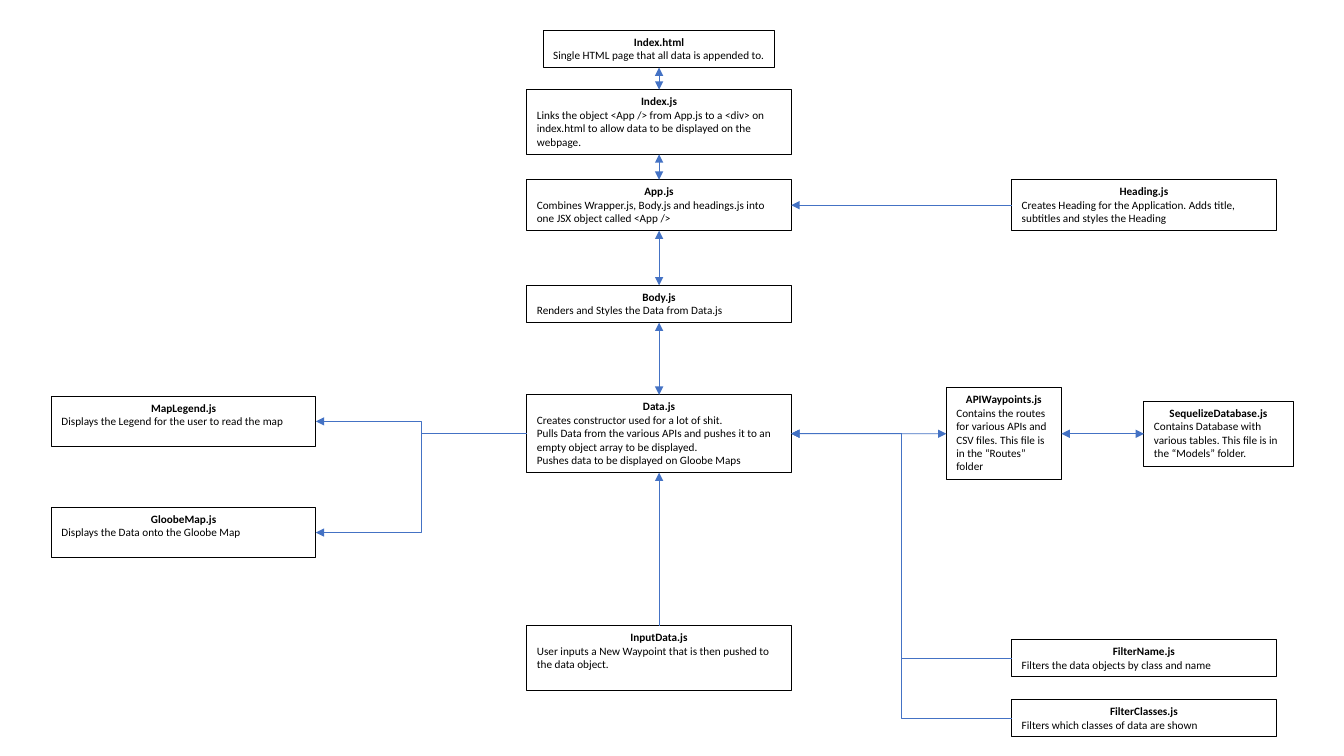
from dataclasses import dataclass

from lxml import etree
from pptx import Presentation
from pptx.dml.color import RGBColor
from pptx.enum.shapes import MSO_CONNECTOR
from pptx.enum.text import MSO_ANCHOR, MSO_AUTO_SIZE, PP_ALIGN
from pptx.oxml.ns import qn
from pptx.util import Cm, Pt

TOP, LEFT, BOTTOM, RIGHT = range(4)


@dataclass(frozen=True)
class Theme:
    """Colours, type and line widths of the diagram."""
    font: str = "Calibri"
    size: Pt = Pt(8)
    ink: RGBColor = RGBColor(0, 0, 0)
    arrow: RGBColor = RGBColor(0x44, 0x72, 0xC4)
    border: Pt = Pt(0.75)
    stroke: Pt = Pt(0.5)


@dataclass(frozen=True)
class Box:
    """Region of the slide in centimetres."""
    left: float
    top: float
    width: float


THEME = Theme()


def add_file(slide, region, offset, height, name, *notes, width=None):
    """Draw a file card centred in its region, at an offset from the region's top."""
    width = width or region.width
    left = region.left + (region.width - width) / 2
    card = slide.shapes.add_textbox(Cm(left), Cm(region.top + offset), Cm(width), Cm(height))
    card.line.color.rgb = THEME.ink
    card.line.width = THEME.border
    frame = card.text_frame
    frame.word_wrap = True
    frame.auto_size = MSO_AUTO_SIZE.SHAPE_TO_FIT_TEXT
    frame.vertical_anchor = MSO_ANCHOR.TOP
    for index, text in enumerate((name, *notes)):
        paragraph = frame.paragraphs[0] if index == 0 else frame.add_paragraph()
        paragraph.alignment = PP_ALIGN.LEFT if index else PP_ALIGN.CENTER
        run = paragraph.add_run()
        run.text = text
        run.font.name = THEME.font
        run.font.size = THEME.size
        run.font.bold = index == 0
        run.font.color.rgb = THEME.ink
    return card


def link(slide, source, source_side, target, target_side, both=False, elbow=False):
    """Glue an arrow from one card's side to another's."""
    kind = MSO_CONNECTOR.ELBOW if elbow else MSO_CONNECTOR.STRAIGHT
    arrow = slide.shapes.add_connector(kind, 0, 0, 0, 0)
    arrow.begin_connect(source, source_side)
    arrow.end_connect(target, target_side)
    arrow.line.color.rgb = THEME.arrow
    arrow.line.width = THEME.stroke
    line = arrow.line._get_or_add_ln()
    for end in ("a:headEnd", "a:tailEnd") if both else ("a:tailEnd",):
        etree.SubElement(line, qn(end), type="triangle")
    etree.SubElement(arrow._element.spPr, qn("a:effectLst"))


def page_chain(slide, box):
    """Stack the page files from Index.html to Data.js and InputData.js."""
    chain = [
        add_file(slide, box, 0, 0.94, "Index.html",
                 "Single HTML page that all data is appended to.", width=5.84),
        add_file(slide, box, 1.5, 1.63, "Index.js",
                 "Links the object <App /> from App.js to a <div> on index.html "
                 "to allow data to be displayed on the webpage."),
        add_file(slide, box, 3.77, 1.28, "App.js",
                 "Combines Wrapper.js, Body.js and headings.js into one JSX object called <App />"),
        add_file(slide, box, 6.43, 0.94, "Body.js", "Renders and Styles the Data from Data.js"),
        add_file(slide, box, 9.19, 1.96, "Data.js",
                 "Creates constructor used for a lot of shit.",
                 "Pulls Data from the various APIs and pushes it to an empty object array "
                 "to be displayed.",
                 "Pushes data to be displayed on Gloobe Maps"),
    ]
    for upper, lower in zip(chain, chain[1:]):
        link(slide, upper, BOTTOM, lower, TOP, both=True)
    app, data = chain[2], chain[-1]
    user_input = add_file(slide, box, 15.01, 1.63, "InputData.js",
                          "User inputs a New Waypoint that is then pushed to the data object.")
    link(slide, user_input, TOP, data, BOTTOM)
    return app, data


def heading(slide, box, app):
    """Place the heading file that feeds the app."""
    card = add_file(slide, box, 0, 1.28, "Heading.js",
                    "Creates Heading for the Application. Adds title, subtitles "
                    "and styles the Heading")
    link(slide, card, LEFT, app, RIGHT)


def map_views(slide, box, data):
    """Place the map files that show the data."""
    views = (("MapLegend.js", "Displays the Legend for the user to read the map"),
             ("GloobeMap.js", "Displays the Data onto the Gloobe Map"))
    for row, (name, note) in enumerate(views):
        card = add_file(slide, box, row * 2.8, 1.28, name, note)
        link(slide, data, LEFT, card, RIGHT, elbow=True)


def data_sources(slide, box, data):
    """Place the routes and the database beside the data file."""
    routes_box = Box(box.left, box.top, 2.9)
    tables_box = Box(box.left + box.width - 3.76, box.top, 3.76)
    routes = add_file(slide, routes_box, 0, 2.32, "APIWaypoints.js",
                      "Contains the routes for various APIs and CSV files. "
                      "This file is in the “Routes” folder")
    tables = add_file(slide, tables_box, 0.34, 1.64, "SequelizeDatabase.js",
                      "Contains Database with various tables. "
                      "This file is in the “Models” folder.")
    link(slide, routes, LEFT, data, RIGHT, both=True)
    link(slide, routes, RIGHT, tables, LEFT, both=True)


def filters(slide, box, data):
    """Place the filter files that act on the data."""
    rows = (("FilterName.js", "Filters the data objects by class and name"),
            ("FilterClasses.js", "Filters which classes of data are shown"))
    for row, (name, note) in enumerate(rows):
        card = add_file(slide, box, row * 1.51, 0.94, name, note)
        link(slide, card, LEFT, data, RIGHT, elbow=True)


def main():
    """Build the file diagram."""
    deck = Presentation()
    deck.slide_width, deck.slide_height = Cm(33.87), Cm(19.05)
    slide = deck.slides.add_slide(deck.slide_layouts[6])
    app, data = page_chain(slide, Box(13.28, 0.76, 6.66))
    heading(slide, Box(25.5, 4.53, 6.66), app)
    map_views(slide, Box(1.3, 9.98, 6.66), data)
    data_sources(slide, Box(23.85, 9.77, 8.74), data)
    filters(slide, Box(25.5, 16.12, 6.66), data)
    deck.save("out.pptx")


main()
